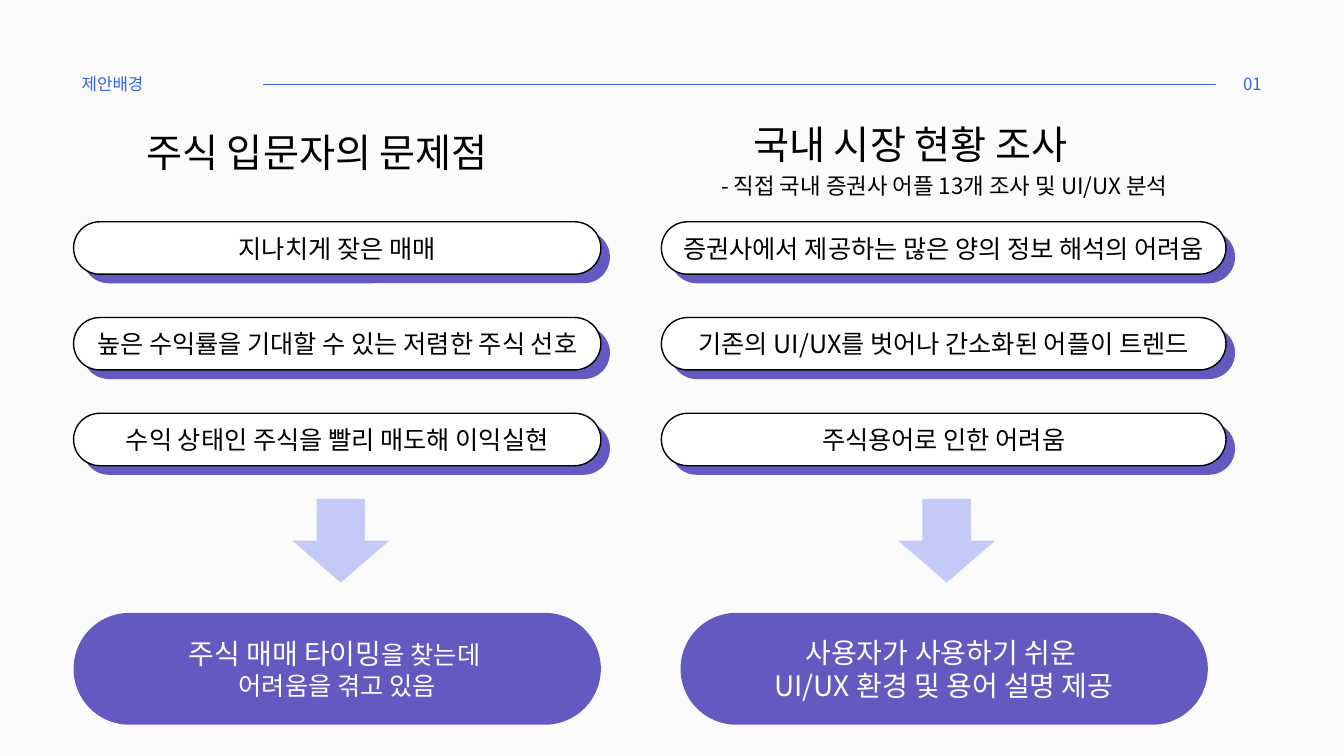
from pptx import Presentation
from pptx import util as u
from pptx.dml.color import RGBColor
from pptx.enum import shapes, text
from pptx.oxml import ns
from lxml import etree

BLACK = RGBColor(0x00, 0x00, 0x00)
WHITE = RGBColor(0xFF, 0xFF, 0xFF)
PAPER = RGBColor(0xFB, 0xFB, 0xFB)
VIOLET = RGBColor(0x64, 0x59, 0xC1)
LILAC = RGBColor(0xC4, 0xCA, 0xF8)
BLUE = RGBColor(0x34, 0x64, 0xE0)
NOTO = "Noto Sans CJK KR"
LEFT = text.PP_ALIGN.LEFT
MID = text.PP_ALIGN.CENTER
ROUND = shapes.MSO_SHAPE.ROUNDED_RECTANGLE
ARROW = shapes.MSO_SHAPE.DOWN_ARROW

deck = Presentation()
deck.slide_width, deck.slide_height = u.Inches(13.33), u.Inches(7.5)
slide = deck.slides.add_slide(deck.slide_layouts[4])
slide.background.fill.solid()
slide.background.fill.fore_color.rgb = PAPER


def draw(kind, box, fill, edge=None):
    shape = slide.shapes.add_shape(kind, *map(u.Inches, box))
    shape.shadow.inherit = False
    shape.fill.solid()
    shape.fill.fore_color.rgb = fill
    if kind == ROUND:
        shape.adjustments[0] = 0.5
    if edge is None:
        shape.line.fill.background()
    else:
        shape.line.color.rgb = edge
        shape.line.width = u.Pt(1)
    return shape


def write(shape, lines, tone, align=MID, gap=0, **form):
    frame = shape.text_frame
    frame.auto_size = text.MSO_AUTO_SIZE.NONE
    form = {"word_wrap": True, "vertical_anchor": text.MSO_ANCHOR.MIDDLE, **form}
    for key, val in form.items():
        setattr(frame, key, val)
    for i, line in enumerate(lines):
        para = frame.add_paragraph() if i else frame.paragraphs[0]
        para.alignment, para.space_before = align, u.Pt(gap)
        for words, size, face in line:
            run = para.add_run()
            run.text = words
            for key, val in {"size": u.Pt(size), "name": face, "bold": False}.items():
                setattr(run.font, key, val)
            run.font.color.rgb = tone
            east = etree.SubElement(run.font._element, ns.qn("a:ea"))
            east.set("typeface", face)


holds = {h.placeholder_format.idx: h for h in slide.placeholders}
for idx, hold in holds.items():
    if idx not in (0, 1, 3):
        hold._element.getparent().remove(hold._element)

page = slide.shapes.add_textbox(0, 0, 0, 0)
note = slide.shapes.add_textbox(0, 0, 0, 0)
TOP = {"vertical_anchor": text.MSO_ANCHOR.TOP}
LOOSE = {**TOP, "word_wrap": False}
labels = [
    (holds[0], (0.71, 0.68, 0.88, 0.3), "제안배경", 12, BLUE, LEFT, 0, LOOSE),
    (page, (12.23, 0.68, 0.41, 0.3), "01", 12, BLUE, LEFT, 0, LOOSE),
    (holds[1], (1.35, 1.22, 3.99, 0.57), "주식 입문자의 문제점", 28, BLACK, LEFT, 3, TOP),
    (holds[3], (7.37, 1.14, 3.99, 0.57), "국내 시장 현황 조사", 28, BLACK, LEFT, 3, TOP),
    (note, (6.7, 1.66, 5.33, 0.37), "- 직접 국내 증권사 어플 13개 조사 및 UI/UX 분석", 16, BLACK, MID, 0, TOP),
]
for shape, box, words, size, tone, align, gap, form in labels:
    for key, val in zip(("left", "top", "width", "height"), box):
        setattr(shape, key, u.Inches(val))
    write(shape, [[(words, size, NOTO)]], tone, align, gap, **form)

rule = slide.shapes.add_connector(
    shapes.MSO_CONNECTOR.STRAIGHT, *map(u.Inches, (2.61, 0.84, 12.06, 0.84)))
rule.line.color.rgb = BLUE
rule.line.width = u.Pt(1)
etree.SubElement(rule._element.spPr, ns.qn("a:effectLst"))

ROW, STEP, TALL, SHIFT, WIDE = 2.2, 0.95, 0.52, 0.09, 5.23
sides = [
    (0.73, 5.23, 0.73, 2.9,
     ["지나치게 잦은 매매",
      "높은 수익률을 기대할 수 있는 저렴한 주식 선호",
      "수익 상태인 주식을 빨리 매도해 이익실현"],
     [[("주식 매매 타이밍", 20, NOTO), ("을 찾는데 ", 18, "Calibri")],
      [("어려움을 겪고 있음", 18, "Calibri")]]),
    (6.56, 5.6, 6.75, 8.91,
     ["증권사에서 제공하는 많은 양의 정보 해석의 어려움",
      "기존의 UI/UX를 벗어나 간소화된 어플이 트렌드",
      "주식용어로 인한 어려움"],
     [[("사용자가 사용하기 쉬운 ", 20, "Calibri")],
      [("UI/UX 환경 및 용어 설명 제공", 20, NOTO)]]),
]
for left, width, base, tip, points, result in sides:
    for i, point in enumerate(points):
        top = ROW + i * STEP
        draw(ROUND, (left + SHIFT, top + SHIFT, width, TALL), VIOLET)
        pill = draw(ROUND, (left, top, width, TALL), WHITE, BLACK)
        write(pill, [[(point, 18, NOTO)]], BLACK, margin_left=0, margin_right=0)
    draw(ARROW, (tip, 4.95, 0.96, 0.83), LILAC)
    write(draw(ROUND, (base, 6.08, WIDE, 1.11), VIOLET), result, WHITE)

deck.save("out.pptx")
